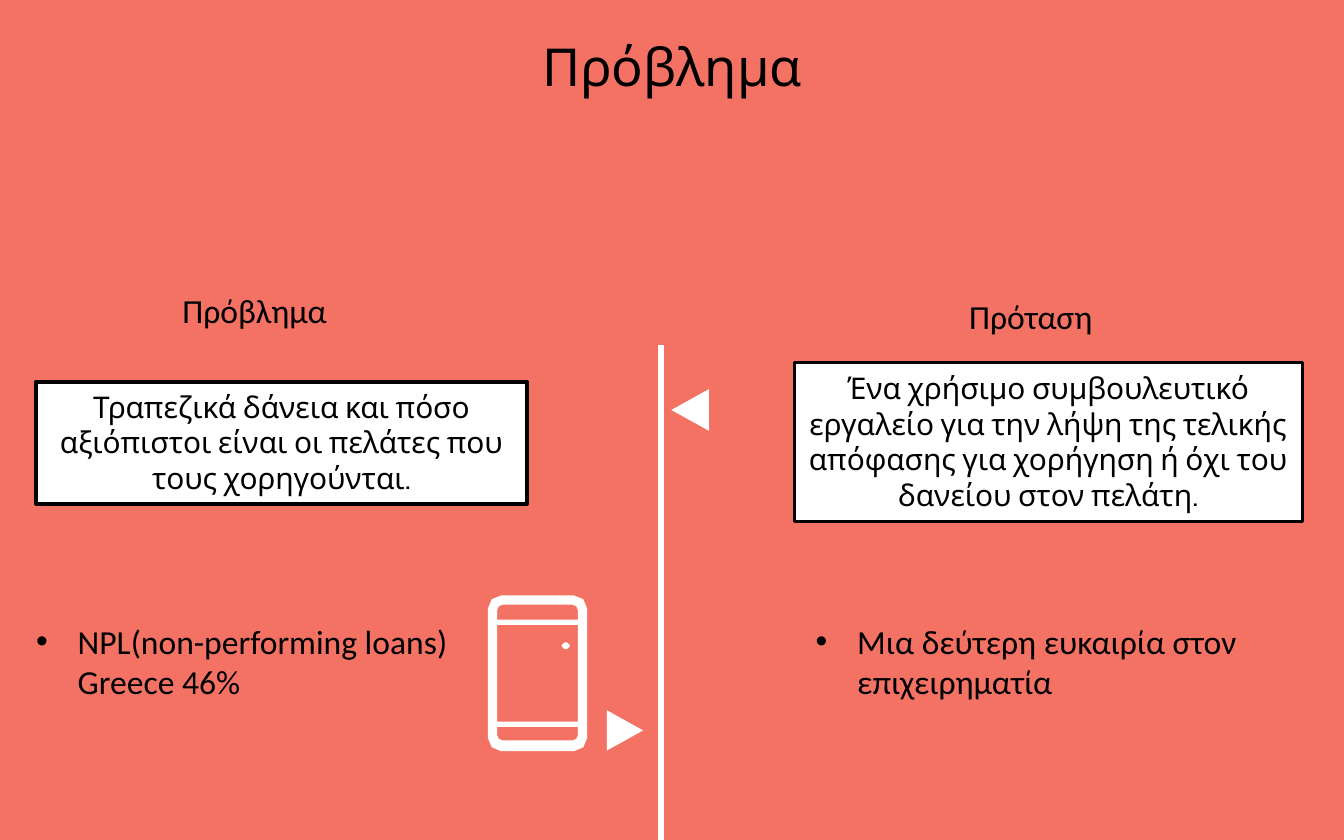
import math
from typing import NamedTuple, Optional

from lxml import etree
from pptx import Presentation
from pptx import util as u
from pptx.dml.color import RGBColor
from pptx.enum import shapes, text
from pptx.oxml import ns

WHITE, BLACK, CORAL = "FFFFFF", "000000", "F47264"
ALIGN, ANCHOR = text.PP_ALIGN, text.MSO_ANCHOR


class Box(NamedTuple):
    left: float
    top: float
    width: float
    height: float


class Label(NamedTuple):
    box: Box
    words: str
    style: dict


class Card(NamedTuple):
    box: Box
    border: float
    words: str


class Arrow(NamedTuple):
    box: Box
    rotation: int


class Contour(NamedTuple):
    left: float
    top: float
    right: float
    bottom: float
    top_radius: float = 0
    bottom_radius: float = 0
    cuts: int = 2


LABELS = [
    Label(Box(0.25, 0.2, 9.5, 0.57), "Πρόβλημα",
          dict(size=28, font="Cabin", align=ALIGN.CENTER, anchor=ANCHOR.MIDDLE)),
    Label(Box(5.67, 2.05, 4, 0.5), "Πρόταση",
          dict(align=ALIGN.CENTER, anchor=ANCHOR.BOTTOM)),
    Label(Box(1.26, 2.11, 2.37, 0.4), "Πρόβλημα", {}),
    Label(Box(0.17, 4.57, 3.32, 1.01), "NPL(non-performing loans) Greece 46%",
          dict(bullet="•")),
    Label(Box(5.97, 4.57, 3.48, 0.71), "Μια δεύτερη ευκαιρία στον επιχειρηματία",
          dict(bullet="•")),
]
CARDS = [
    Card(Box(0.27, 2.84, 3.65, 0.91), 2,
         "Τραπεζικά δάνεια και πόσο αξιόπιστοι είναι οι πελάτες που τους χορηγούνται."),
    Card(Box(5.91, 2.7, 3.78, 1.18), 1.5,
         "Ένα χρήσιμο συμβουλευτικό εργαλείο για την λήψη της τελικής απόφασης "
         "για χορήγηση ή όχι του δανείου στον πελάτη."),
]
ARROWS = [
    Arrow(Box(4.98, 2.91, 0.31, 0.28), 270),
    Arrow(Box(4.5, 5.3, 0.3, 0.27), 90),
]
PHONE_BODY = [
    Contour(3.63, 4.43, 4.37, 5.59, 0.1, 0.1),
    Contour(3.7, 4.5, 4.3, 4.61, top_radius=0.04),
    Contour(3.7, 4.65, 4.3, 5.37),
    Contour(3.7, 5.41, 4.3, 5.51, bottom_radius=0.04),
]
PHONE_SPEAKER = [Contour(4.12, 4.44, 4.26, 4.49, 0.02, 0.02, cuts=1)]
PHONE_CAMERA = [Contour(4.18, 4.78, 4.24, 4.83, 0.02, 0.02, cuts=1)]


def colour(code: str) -> RGBColor:
    return RGBColor.from_string(code)


def paint(shape, fill: str, border: Optional[float] = None) -> None:
    shape.shadow.inherit = False
    shape.fill.solid()
    shape.fill.fore_color.rgb = colour(fill)
    if border is None:
        shape.line.fill.background()
    else:
        shape.line.color.rgb = colour(BLACK)
        shape.line.width = u.Pt(border)


def write(shape, words: str, *, size: float = 18, font: str = "Calibri",
          align=ALIGN.LEFT, anchor=ANCHOR.TOP, before: float = 0,
          bullet: str = "") -> None:
    frame = shape.text_frame
    frame.word_wrap = True
    frame.vertical_anchor = anchor
    paragraph = frame.paragraphs[0]
    paragraph.alignment = align
    paragraph.space_before = u.Pt(before)
    run = paragraph.add_run()
    run.text = words
    run.font.size = u.Pt(size)
    run.font.name = font
    run.font.color.rgb = colour(BLACK)
    if bullet:
        properties = paragraph._p.get_or_add_pPr()
        indent = u.Inches(0.31)
        properties.set("marL", str(indent))
        properties.set("indent", str(-indent))
        etree.SubElement(properties, ns.qn("a:buFont"), typeface="Arial")
        etree.SubElement(properties, ns.qn("a:buChar"), char=bullet)


def outline(contour: Contour) -> list[tuple[int, int]]:
    left, top, right, bottom, top_radius, bottom_radius, cuts = contour
    corners = [(right, bottom, -1, -1, bottom_radius), (left, bottom, 1, -1, bottom_radius),
               (left, top, 1, 1, top_radius), (right, top, -1, 1, top_radius)]
    points = []
    for quarter, (x, y, inward_x, inward_y, radius) in enumerate(corners):
        for step in range(cuts + 1 if radius else 1):
            angle = math.radians(90 * (quarter + step / cuts))
            across = radius * (inward_x + math.cos(angle))
            down = radius * (inward_y + math.sin(angle))
            points.append((u.Inches(x + across), u.Inches(y + down)))
    return points


def draw_contours(slide, contours: list[Contour]) -> None:
    first, *holes = [outline(contour) for contour in contours]
    builder = slide.shapes.build_freeform(*first[0])
    builder.add_line_segments(first[1:], close=True)
    for hole in holes:
        builder.move_to(*hole[0])
        builder.add_line_segments(hole[1:], close=True)
    paint(builder.convert_to_shape(), WHITE)


def draw_label(slide, label: Label) -> None:
    write(slide.shapes.add_textbox(*map(u.Inches, label.box)), label.words, **label.style)


def draw_card(slide, card: Card) -> None:
    rectangle = slide.shapes.add_shape(shapes.MSO_SHAPE.RECTANGLE, *map(u.Inches, card.box))
    paint(rectangle, WHITE, card.border)
    write(rectangle, card.words, size=16, font="Cabin", align=ALIGN.CENTER, before=2.1)


def draw_arrow(slide, arrow: Arrow) -> None:
    triangle = slide.shapes.add_shape(
        shapes.MSO_SHAPE.FLOWCHART_EXTRACT, *map(u.Inches, arrow.box))
    triangle.rotation = arrow.rotation
    paint(triangle, WHITE)


def draw_divider(slide, x: float, top: float, bottom: float) -> None:
    divider = slide.shapes.add_connector(
        shapes.MSO_CONNECTOR.STRAIGHT, *map(u.Inches, (x, top, x, bottom)))
    divider.line.color.rgb = colour(WHITE)
    divider.line.width = u.Pt(3)
    etree.SubElement(divider._element.spPr, ns.qn("a:effectLst"))


def main() -> None:
    deck = Presentation()
    deck.slide_width, deck.slide_height = u.Inches(10), u.Inches(6.25)
    slide = deck.slides.add_slide(deck.slide_layouts[6])
    slide.background.fill.solid()
    slide.background.fill.fore_color.rgb = colour(CORAL)
    draw_divider(slide, 4.92, 2.57, 6.64)
    for arrow in ARROWS:
        draw_arrow(slide, arrow)
    for contours in (PHONE_BODY, PHONE_SPEAKER, PHONE_CAMERA):
        draw_contours(slide, contours)
    for card in CARDS:
        draw_card(slide, card)
    for label in LABELS:
        draw_label(slide, label)
    deck.save("out.pptx")


if __name__ == "__main__":
    main()
